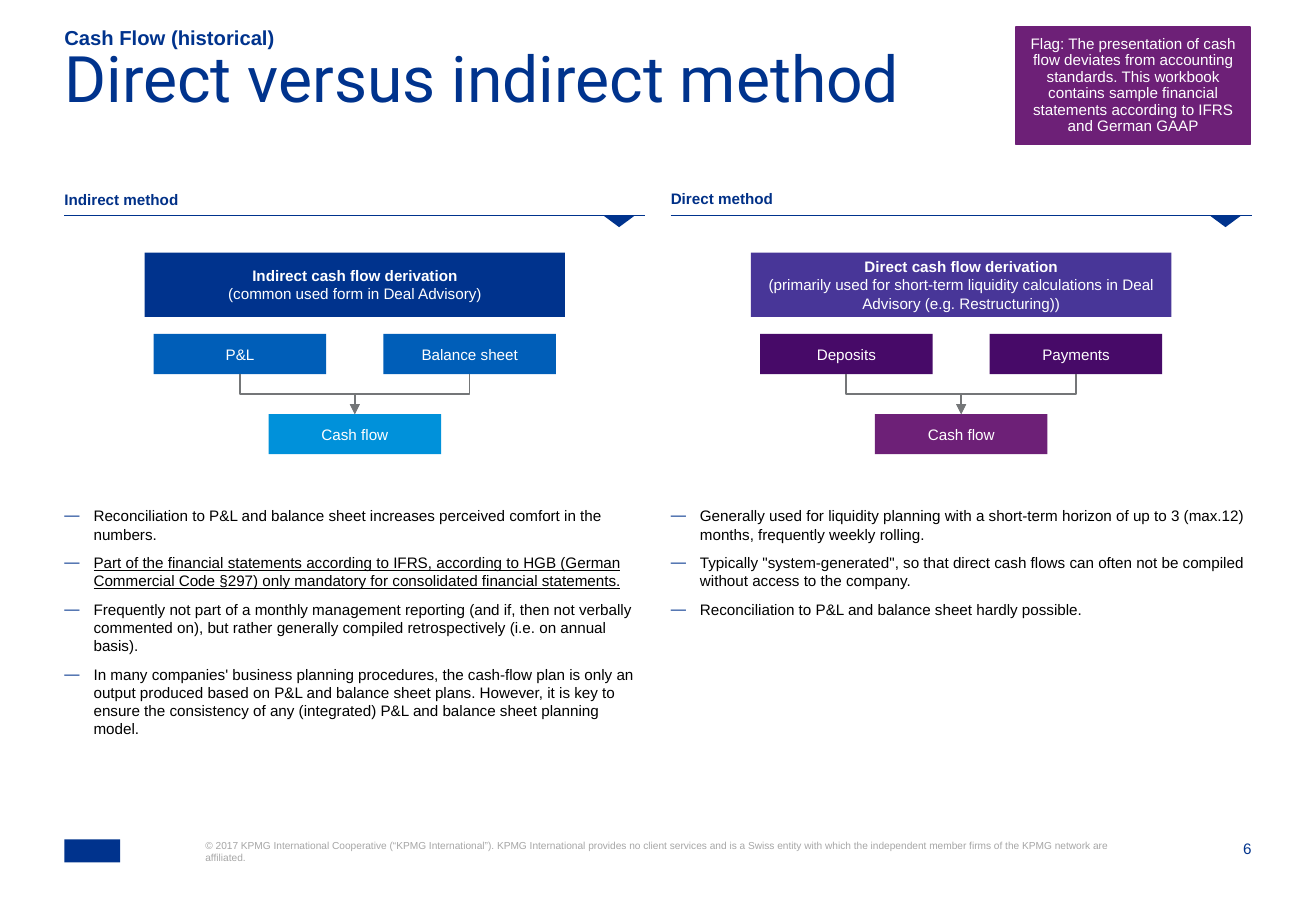
from lxml import etree
from pptx import Presentation
from pptx.dml.color import RGBColor
from pptx.enum.shapes import MSO_CONNECTOR, MSO_SHAPE
from pptx.enum.text import MSO_ANCHOR, MSO_AUTO_SIZE, PP_ALIGN
from pptx.oxml.ns import qn
from pptx.util import Inches, Pt

RECTANGLE, TRIANGLE = MSO_SHAPE.RECTANGLE, MSO_SHAPE.ISOSCELES_TRIANGLE
STRAIGHT, ELBOW = MSO_CONNECTOR.STRAIGHT, MSO_CONNECTOR.ELBOW
TOP, MIDDLE, BOTTOM = MSO_ANCHOR.TOP, MSO_ANCHOR.MIDDLE, MSO_ANCHOR.BOTTOM
LEFT, CENTER, RIGHT = PP_ALIGN.LEFT, PP_ALIGN.CENTER, PP_ALIGN.RIGHT
NO_AUTOFIT = MSO_AUTO_SIZE.NONE

NAVY, HEADING, PURPLE = "00338D", "003087", "6D2077"
GREY, PALE, WHITE, BLACK = "747678", "A6A6A6", "FFFFFF", "000000"

INDIRECT = {
    "heading": "Indirect method",
    "heading_top": 1.57,
    "derivation": "Indirect cash flow derivation",
    "usage": "(common used form in Deal Advisory)",
    "inputs": ("P&L", "Balance sheet"),
    "colors": (NAVY, "005EB8", "0091DA"),
    "points": [
        "Reconciliation to P&L and balance sheet increases perceived comfort in the numbers.",
        "Part of the financial statements according to IFRS, according to HGB (German Commercial Code §297) only mandatory for consolidated financial statements.",
        "Frequently not part of a monthly management reporting (and if, then not verbally commented on), but rather generally compiled retrospectively (i.e. on annual basis).",
        "In many companies' business planning procedures, the cash-flow plan is only an output produced based on P&L and balance sheet plans. However, it is key to ensure the consistency of any (integrated) P&L and balance sheet planning model.",
    ],
    "underlined": 1,
}
DIRECT = {
    "heading": "Direct method",
    "heading_top": 1.56,
    "derivation": "Direct cash flow derivation",
    "usage": "(primarily used for short-term liquidity calculations in Deal Advisory (e.g. Restructuring))",
    "inputs": ("Deposits", "Payments"),
    "colors": ("483698", "470A68", PURPLE),
    "points": [
        "Generally used for liquidity planning with a short-term horizon of up to 3 (max.12) months, frequently weekly rolling.",
        'Typically "system-generated", so that direct cash flows can often not be compiled without access to the company.',
        "Reconciliation to P&L and balance sheet hardly possible.",
    ],
    "underlined": None,
}


def rgb(color):
    return RGBColor.from_string(color)


def place(part, left, top, width, height):
    part.left, part.top = Inches(left), Inches(top)
    part.width, part.height = Inches(width), Inches(height)


def frame(part, anchor=TOP, side=0, end=0):
    text = part.text_frame
    text.word_wrap = True
    text.auto_size = NO_AUTOFIT
    text.vertical_anchor = anchor
    text.margin_left = text.margin_right = Inches(side)
    text.margin_top = text.margin_bottom = Inches(end)
    return text


def write(text, index, words, color, size=9, bold=False, align=LEFT, font="Arial"):
    paragraph = text.paragraphs[0] if index == 0 else text.add_paragraph()
    paragraph.alignment = align
    paragraph.space_before = Pt(0)
    run = paragraph.add_run()
    run.text = words
    run.font.name, run.font.size, run.font.bold = font, Pt(size), bold
    run.font.color.rgb = rgb(color)
    return paragraph


def add_label(slide, box, words, color, size, anchor=TOP, **style):
    label = slide.shapes.add_textbox(*map(Inches, box))
    write(frame(label, anchor), 0, words, color, size, **style)


def add_block(shapes, box, color, kind=RECTANGLE):
    block = shapes.add_shape(kind, *map(Inches, box))
    block.shadow.inherit = False
    block.fill.solid()
    block.fill.fore_color.rgb = rgb(color)
    block.line.fill.background()
    return block


def add_line(shapes, kind, start, end, color, width):
    line = shapes.add_connector(kind, *map(Inches, (*start, *end)))
    line.line.color.rgb = rgb(color)
    line.line.width = Pt(width)
    etree.SubElement(line._element.spPr, qn("a:effectLst"))
    return line


def add_elbow(shapes, start, end):
    drop, reach = end[1] - start[1], abs(end[0] - start[0])
    x = (start[0] + end[0] - drop) / 2
    y = (start[1] + end[1] - reach) / 2
    elbow = add_line(shapes, ELBOW, (x, y), (x + drop, y + reach), GREY, 1)
    transform = elbow._element.spPr.find(qn("a:xfrm"))
    from_left = start[0] < end[0]
    transform.set("rot", str((270 if from_left else 90) * 60000))
    if from_left:
        transform.set("flipH", "1")
    outline = elbow._element.spPr.find(qn("a:ln"))
    etree.SubElement(outline, qn("a:tailEnd"), type="triangle")


def add_header(slide, left, top):
    add_label(slide, (left, top, 9.4, 0.19), "Cash Flow (historical)", NAVY, 12, BOTTOM, bold=True)
    title = slide.shapes.title
    place(title, left, top + 0.27, 9.4, 0.79)
    heading = write(frame(title), 0, "Direct versus indirect method", NAVY, 38, font="Roboto")
    heading.line_spacing = 0.7


def add_flag(slide, box):
    flag = add_block(slide.shapes, box, PURPLE)
    flag.line.color.rgb = rgb(PURPLE)
    flag.line.width = Pt(1)
    note = write(
        frame(flag, MIDDLE, 0.06, 0.06), 0,
        "Flag: The presentation of cash flow deviates from accounting standards. This workbook contains sample financial statements according to IFRS and German GAAP",
        WHITE, align=CENTER)
    note.line_spacing = 0.9


def add_derivation(slide, left, top, method):
    main_color, input_color, result_color = method["colors"]
    width, box_width, box_height = 3.46, 1.42, 0.33
    center, input_top, result_top = left + width / 2, top + 0.67, top + 1.33
    diagram = slide.shapes.add_group_shape().shapes
    derivation = frame(add_block(diagram, (left, top, width, 0.53), main_color), MIDDLE, 0.1, 0.05)
    write(derivation, 0, method["derivation"], WHITE, bold=True, align=CENTER)
    write(derivation, 1, method["usage"], WHITE, align=CENTER)
    boxes = [
        (method["inputs"][0], center - 0.945, input_top, input_color),
        (method["inputs"][1], center + 0.945, input_top, input_color),
        ("Cash flow", center, result_top, result_color),
    ]
    for words, middle, box_top, color in boxes:
        box = (middle - box_width / 2, box_top, box_width, box_height)
        write(frame(add_block(diagram, box, color), MIDDLE, 0.1, 0.05), 0, words, WHITE, align=CENTER)
    for _, middle, box_top, _ in boxes[:2]:
        add_elbow(diagram, (middle, box_top + box_height), (center, result_top))


def add_points(placeholder, box, method):
    place(placeholder, *box)
    text = frame(placeholder)
    for index, words in enumerate(method["points"]):
        point = write(text, index, words, BLACK)
        point.space_after = Pt(6)
        point.runs[0].font.underline = index == method["underlined"]
        properties = point._p.get_or_add_pPr()
        properties.set("marL", str(Inches(0.24)))
        properties.set("indent", str(-Inches(0.24)))
        bullet_color = etree.SubElement(properties, qn("a:buClr"))
        etree.SubElement(bullet_color, qn("a:srgbClr"), val=NAVY)
        etree.SubElement(properties, qn("a:buChar"), char="—")


def add_method(slide, left, method, heading, points):
    width, rule_top = 4.78, 1.77
    place(heading, left, method["heading_top"], 3.72, 0.25)
    write(frame(heading), 0, method["heading"], HEADING, bold=True)
    add_line(slide.shapes, STRAIGHT, (left, rule_top), (left + width, rule_top), NAVY, 0.5)
    pointer = add_block(slide.shapes, (left + 4.43, rule_top, 0.27, 0.1), NAVY, TRIANGLE)
    pointer.rotation = 180
    add_derivation(slide, left + 0.66, 2.08, method)
    add_points(points, (left, 4.17, width, 2.42), method)


def add_footer(slide, left, top):
    add_block(slide.shapes, (left, top, 0.46, 0.19), NAVY)
    add_label(
        slide, (left + 1.16, top, 7.49, 0.41),
        "© 2017 KPMG International Cooperative (“KPMG International”). KPMG International provides no client services and is a Swiss entity with which the independent member firms of the KPMG network are affiliated.",
        PALE, 6)
    add_label(slide, (left + 9.34, top, 0.43, 0.16), "6", NAVY, 9, align=RIGHT)


def main():
    presentation = Presentation()
    presentation.slide_width, presentation.slide_height = Inches(10.83), Inches(7.5)
    slide = presentation.slides.add_slide(presentation.slide_layouts[4])
    parts = slide.placeholders
    add_header(slide, 0.53, 0.22)
    add_method(slide, 0.53, INDIRECT, parts[1], parts[2])
    add_method(slide, 5.52, DIRECT, parts[3], parts[4])
    add_flag(slide, (8.36, 0.22, 1.93, 0.97))
    add_footer(slide, 0.53, 6.91)
    presentation.save("out.pptx")


if __name__ == "__main__":
    main()
